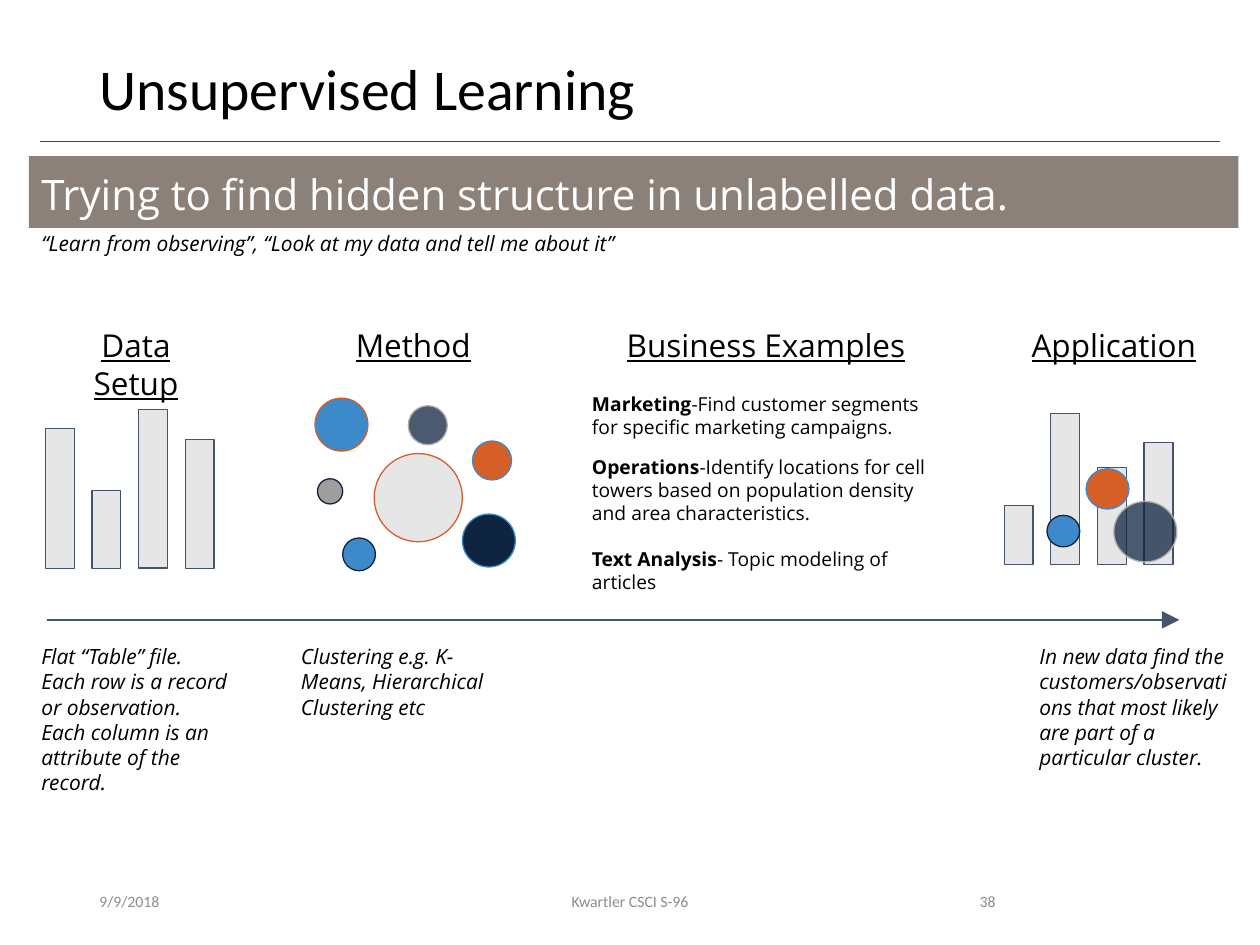
from dataclasses import dataclass

from lxml.etree import SubElement
from pptx import Presentation
from pptx.dml.color import RGBColor
from pptx.enum.shapes import MSO_CONNECTOR, MSO_SHAPE
from pptx.enum.text import MSO_ANCHOR as Anchor, PP_ALIGN as Align
from pptx.oxml.ns import qn
from pptx.util import Emu, Pt

EMU_PER_PX = 9144  # 100 px to the inch
BODY_FONT, OFFICE_FONT = "Open Sans", "Calibri"
SLATE, PALE, NAVY = "44546A", "E7E6E6", "0F243E"
BLUE, SKY, ORANGE = "3C8ACA", "3D89C9", "D55F27"
SILVER, GREY = "AEAEAE", "9E9E9E"


@dataclass
class Label:
    text: str
    left: int
    top: int
    width: int
    height: int
    size: float
    font: str = BODY_FONT
    color: str = "000000"
    align: Align = Align.LEFT
    anchor: Anchor = Anchor.TOP
    inset: int = 10
    italic: bool = False
    underline: bool = False
    lead: str = ""  # bold opening words
    spacing: float = 1.0


@dataclass
class Bubble:
    left: int
    top: int
    width: int
    height: int
    fill: str
    line: str
    opacity: int = 100


def px(value: int) -> Emu:
    return Emu(value * EMU_PER_PX)


def rgb(color: str) -> RGBColor:
    return RGBColor.from_string(color)


def write(box, label: Label) -> None:
    frame = box.text_frame
    frame.word_wrap = True
    frame.vertical_anchor = label.anchor
    frame.margin_left = frame.margin_right = px(10)
    frame.margin_top = frame.margin_bottom = px(label.inset)
    para = frame.paragraphs[0]
    if label.lead:
        lead = para.add_run()
        lead.text = label.lead
        lead.font.bold = True
        para.add_run().text = label.text
    else:
        para.text = label.text
    para.alignment = label.align
    para.line_spacing = label.spacing
    for span in para.runs:
        span.font.name = label.font
        span.font.size = Pt(label.size)
        span.font.color.rgb = rgb(label.color)
        span.font.italic = label.italic
        span.font.underline = label.underline


def add_label(page, label: Label) -> None:
    box = page.shapes.add_textbox(
        px(label.left), px(label.top), px(label.width), px(label.height))
    write(box, label)


def add_block(shapes, kind, left: int, top: int, width: int, height: int,
              fill: str, line: str = ""):
    block = shapes.add_shape(kind, px(left), px(top), px(width), px(height))
    block.shadow.inherit = False
    block.fill.solid()
    block.fill.fore_color.rgb = rgb(fill)
    if line:
        block.line.color.rgb = rgb(line)
        block.line.width = Pt(0.75)
    else:
        block.line.fill.background()
    return block


def add_bars(page, left: int, base: int, heights: list[int]) -> None:
    group = page.shapes.add_group_shape()
    for index, height in enumerate(heights):
        add_block(group.shapes, MSO_SHAPE.RECTANGLE, left + 37 * index,
                  base - height, 23, height, PALE, SLATE)


def add_bubbles(shapes, bubbles: list[Bubble]) -> None:
    for bubble in bubbles:
        block = add_block(shapes, MSO_SHAPE.OVAL, bubble.left, bubble.top,
                          bubble.width, bubble.height, bubble.fill, bubble.line)
        if bubble.opacity < 100:
            color = block.fill._xPr.find(qn("a:solidFill"))[0]
            SubElement(color, qn("a:alpha"), val=str(bubble.opacity * 1000))


def add_rule(page, left: int, right: int, y: int, color: str, weight: float):
    rule = page.shapes.add_connector(
        MSO_CONNECTOR.STRAIGHT, px(left), px(y), px(right), px(y))
    rule.line.color.rgb = rgb(color)
    rule.line.width = Pt(weight)
    SubElement(rule._element.spPr, qn("a:effectLst"))
    return rule


METHOD_BUBBLES = [
    Bubble(297, 360, 70, 70, PALE, ORANGE),
    Bubble(250, 316, 42, 42, BLUE, ORANGE),
    Bubble(324, 322, 31, 31, NAVY, SILVER, 75),
    Bubble(375, 350, 31, 31, ORANGE, SKY),
    Bubble(252, 380, 20, 20, GREY, NAVY),
    Bubble(367, 408, 42, 42, NAVY, BLUE),
    Bubble(272, 427, 26, 26, SKY, NAVY),
]
APPLICATION_BUBBLES = [
    Bubble(862, 372, 34, 32, ORANGE, SKY),
    Bubble(884, 398, 50, 48, NAVY, SILVER, 75),
    Bubble(831, 409, 26, 25, SKY, NAVY),
]
HEADINGS = [("Data Setup", 43, 130), ("Method", 266, 124),
            ("Business Examples", 460, 296), ("Application", 803, 162)]
NOTES = [
    ("Flat “Table” file.\vEach row is a record or observation.\v"
     "Each column is an attribute of the record.", 23),
    ("Clustering e.g. K-Means, Hierarchical Clustering etc", 229),
    ("In new data find the customers/observations that most likely "
     "are part of a particular cluster.", 815),
]
EXAMPLES = [
    ("Marketing", "-Find customer segments for specific marketing campaigns.",
     301, 57, Anchor.TOP),
    ("Operations", "-Identify locations for cell towers based on population "
     "density and area characteristics.", 350, 77, Anchor.MIDDLE),
    ("Text Analysis", "- Topic modeling of articles", 414, 77, Anchor.MIDDLE),
]
FOOTERS = [("9/9/2018", 69, 225, Align.LEFT), ("38", 706, 94, Align.RIGHT),
           ("Kwartler CSCI S-96", 331, 338, Align.CENTER)]


def main() -> None:
    deck = Presentation()
    deck.slide_width, deck.slide_height = px(1000), px(750)
    page = deck.slides.add_slide(deck.slide_layouts[6])

    # Title and footer
    add_rule(page, 32, 968, 112, "A51C30", 0.5)
    add_label(page, Label("Unsupervised Learning", 69, 40, 862, 65, 33,
                          OFFICE_FONT, anchor=Anchor.MIDDLE, inset=5,
                          spacing=0.9))
    for text, left, width, align in FOOTERS:
        add_label(page, Label(text, left, 695, width, 40, 9, OFFICE_FONT,
                              "8C8C8C", align, Anchor.MIDDLE, 5))

    # Banner and tagline
    banner = Label("Trying to find hidden structure in unlabelled data.",
                   23, 124, 960, 57, 24, color="FFFFFF")
    write(add_block(page.shapes, MSO_SHAPE.RECTANGLE, banner.left, banner.top,
                    banner.width, banner.height, "8C8179"), banner)
    add_label(page, Label(
        "“Learn from observing”, “Look at my data and tell me about it”",
        23, 173, 960, 27, 12, italic=True))

    # Column drawings
    add_bars(page, 797, 448, [47, 120, 77, 97])
    add_bars(page, 36, 451, [111, 62, 126, 102])
    add_bubbles(page.shapes.add_group_shape().shapes, METHOD_BUBBLES)
    add_bubbles(page.shapes, APPLICATION_BUBBLES)

    # Column texts
    for text, left, width in HEADINGS:
        add_label(page, Label(text, left, 249, width, 47, 18,
                              align=Align.CENTER, underline=True))
    for text, left in NOTES:
        add_label(page, Label(text, left, 501, 171, 103, 12, italic=True))
    for lead, text, top, height, anchor in EXAMPLES:
        add_label(page, Label(text, 460, top, 287, height, 11,
                              anchor=anchor, lead=lead))

    # Process arrow
    arrow = add_rule(page, 37, 936, 492, SLATE, 0.75)
    SubElement(arrow.line._get_or_add_ln(), qn("a:tailEnd"),
               type="triangle", w="lg", len="lg")

    deck.save("out.pptx")


if __name__ == "__main__":
    main()
